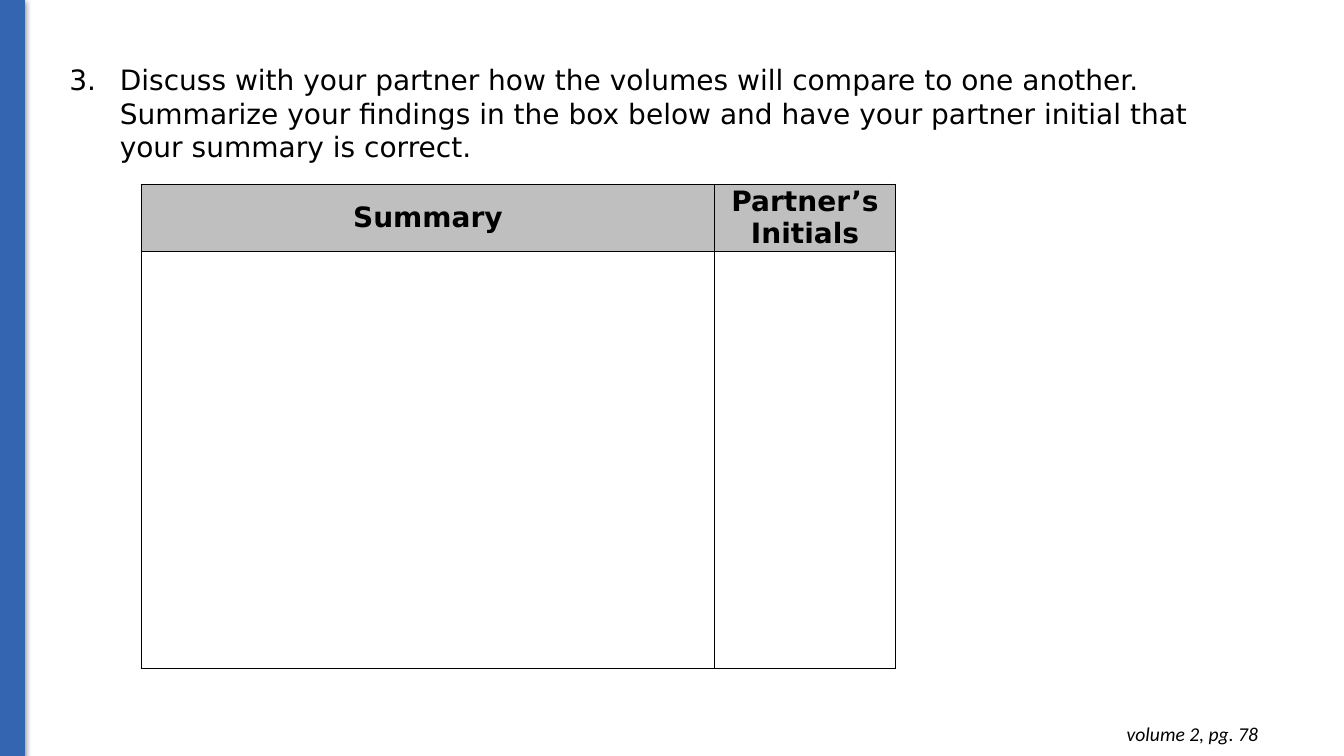
from lxml import etree
from pptx import Presentation
from pptx.dml.color import RGBColor
from pptx.enum.shapes import MSO_SHAPE
from pptx.enum.text import MSO_ANCHOR, PP_ALIGN
from pptx.oxml import parse_xml
from pptx.oxml.ns import nsdecls, qn
from pptx.util import Cm, Pt

RECT = MSO_SHAPE.RECTANGLE
MIDDLE = MSO_ANCHOR.MIDDLE
LEFT, CENTER, RIGHT = PP_ALIGN.LEFT, PP_ALIGN.CENTER, PP_ALIGN.RIGHT
BLUE, GRAY, BLACK = "3465B0", "BFBFBF", "000000"


def color(fmt, code):
    fmt.rgb = RGBColor.from_string(code)


def write(frame, text, size=20, font="DejaVu Sans", bold=False, italic=False,
          align=LEFT, start=None):
    """Fill a text frame; start makes it a numbered item with that number."""
    frame.word_wrap = True
    para = frame.paragraphs[0]
    para.alignment = align
    if start:
        props = para._p.get_or_add_pPr()
        props.set("marL", str(Cm(1.27)))
        props.set("indent", str(-Cm(1.27)))
        etree.SubElement(props, qn("a:buAutoNum"), type="arabicPeriod", startAt=str(start))
    run = para.add_run()
    run.text = text
    run.font.name, run.font.size = font, Pt(size)
    run.font.bold, run.font.italic = bold, italic
    color(run.font.color, BLACK)


deck = Presentation()
deck.slide_width, deck.slide_height = Cm(33.87), Cm(19.05)
slide = deck.slides.add_slide(deck.slide_layouts[6])
shapes = slide.shapes

# Side bar with a soft shadow
bar = shapes.add_shape(RECT, 0, 0, Cm(0.61), Cm(19.05))
bar.fill.solid()
color(bar.fill.fore_color, BLUE)
color(bar.line.color, BLUE)
bar.line.width = Pt(0.75)
bar._element.spPr.append(parse_xml(
    f'<a:effectLst {nsdecls("a")}><a:outerShdw blurRad="{Pt(4.5)}" dist="{Pt(1.5)}" '
    f'dir="5400000" rotWithShape="0"><a:srgbClr val="{BLACK}"><a:alpha val="50000"/>'
    '</a:srgbClr></a:outerShdw></a:effectLst>'))

# Page reference
page = shapes.add_textbox(Cm(24.64), Cm(17.93), Cm(7.32), Cm(1.12)).text_frame
page.margin_top = page.margin_bottom = Cm(0.25)
write(page, "volume 2, pg. 78", size=14, font="Calibri", italic=True, align=RIGHT)

# Task
task = shapes.add_textbox(Cm(1.5), Cm(1.45), Cm(29.24), Cm(2.82)).text_frame
write(task, "Discuss with your partner how the volumes will compare to one another. "
      "Summarize your findings in the box below and have your partner initial that "
      "your summary is correct.", start=3)

# Summary table
widths, heights = [Cm(14.45), Cm(4.56)], [Cm(1.69), Cm(10.51)]
heads = ["Summary", "Partner’s Initials"]
table = shapes.add_table(2, 2, Cm(3.56), Cm(4.64), sum(widths), sum(heights)).table
for col, width in zip(table.columns, widths):
    col.width = width
for row, height in zip(table.rows, heights):
    row.height = height

for cell in table.iter_cells():
    cell.margin_left = cell.margin_right = Cm(0.17)
    cell.margin_top = cell.margin_bottom = 0
    cell.vertical_anchor = MIDDLE
    props = cell._tc.get_or_add_tcPr()
    for side in ("lnL", "lnR", "lnT", "lnB"):
        props.append(parse_xml(
            f'<a:{side} {nsdecls("a")} w="{Pt(1)}"><a:solidFill>'
            f'<a:srgbClr val="{BLACK}"/></a:solidFill></a:{side}>'))
    cell.fill.background()

for cell, head in zip(table.rows[0].cells, heads):
    cell.fill.solid()
    color(cell.fill.fore_color, GRAY)
    write(cell.text_frame, head, bold=True, align=CENTER)

deck.save("out.pptx")
